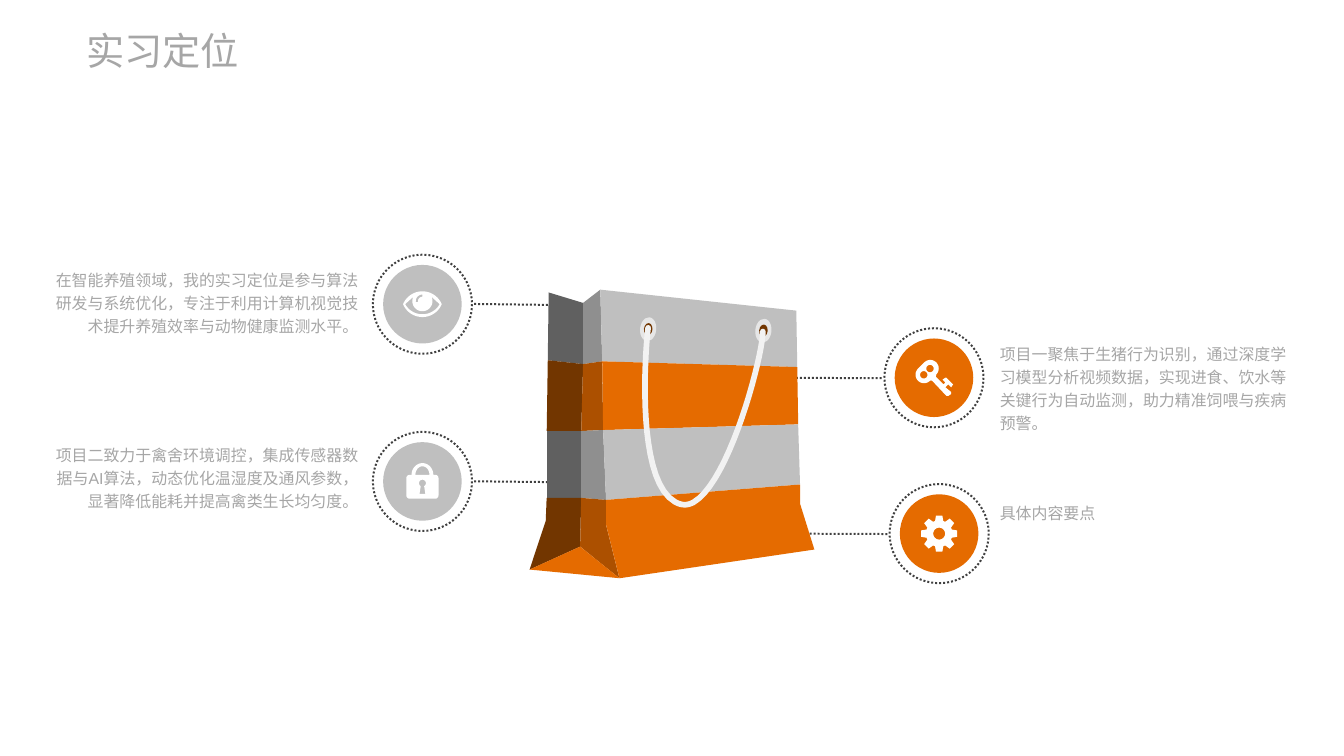
from math import cos, radians, sin

from pptx import Presentation
from pptx.dml.color import RGBColor
from pptx.enum import dml, shapes, text
from pptx.oxml.ns import qn
from pptx.util import Pt

GREY = RGBColor(0xBF, 0xBF, 0xBF)
MID_GREY = RGBColor(0x8F, 0x8F, 0x8F)
DARK_GREY = RGBColor(0x60, 0x60, 0x60)
ORANGE = RGBColor(0xE5, 0x6B, 0x00)
MID_ORANGE = RGBColor(0xAC, 0x50, 0x00)
BROWN = RGBColor(0x72, 0x36, 0x00)
WHITE = RGBColor(0xFF, 0xFF, 0xFF)
ROPE = RGBColor(0xF2, 0xF2, 0xF2)
EYELET = RGBColor(0xE6, 0xE6, 0xE6)
DOTS = RGBColor(0x40, 0x40, 0x40)
TEXT = RGBColor(0xA6, 0xA6, 0xA6)

deck = Presentation()
deck.slide_width, deck.slide_height = Pt(1012.3), Pt(569.5)
slide = deck.slides.add_slide(deck.slide_layouts[5])
items = slide.shapes


def arc(x, y, rx, ry, start, end):
    """Points along an elliptic arc, angles in degrees, clockwise from the right."""
    turns = [radians(start + (end - start) * i / 24) for i in range(25)]
    return [(x + rx * cos(t), y + ry * sin(t)) for t in turns]


def draw(color, rings, ox=0, oy=0, close=True):
    """Draw outlines as one freeform, shifted to (ox, oy)."""
    rings = [[(Pt(ox + x), Pt(oy + y)) for x, y in ring] for ring in rings]
    pen = items.build_freeform(*rings[0][0])
    for i, ring in enumerate(rings):
        if i:
            pen.move_to(*ring[0])
        pen.add_line_segments(ring[1:], close=close)
    form = pen.convert_to_shape()
    form.shadow.inherit = False
    form.fill.solid()
    form.fill.fore_color.rgb = color
    form.line.fill.background()
    return form


# Title
title = items.title
title.left, title.top, title.width, title.height = Pt(64.8), Pt(18.7), Pt(925.2), Pt(38.9)
frame = title.text_frame
frame.margin_left = frame.margin_right = frame.margin_top = frame.margin_bottom = 0
frame.vertical_anchor = text.MSO_ANCHOR.MIDDLE
frame.text = "实习定位"
line = frame.paragraphs[0]
line.alignment = text.PP_ALIGN.LEFT
line.font.size, line.font.name = Pt(28.8), "Arial"
line.font.color.rgb = TEXT

# Icon outlines around their own centre
eye = [
    arc(0, 6.1, 15.8, 15.8, -157.5, -22.5) + arc(0, -6.1, 15.8, 15.8, 22.5, 157.5),
    arc(0, -7.3, 14.9, 14.9, 29.3, 150.7) + arc(0, -2.3, 7.6, 7.6, 205, -25),
    arc(0, -2.3, 5, 5, 170, 270) + arc(0, -2.3, 3.3, 3.3, 270, 170),
]
lock = [
    arc(0, -5, 8.2, 8.8, 180, 360)
    + arc(9.6, -2.5, 2.5, 2.5, -90, 0)
    + arc(9.6, 10.5, 2.5, 2.5, 0, 90)
    + arc(-9.6, 10.5, 2.5, 2.5, 90, 180)
    + arc(-9.6, -2.5, 2.5, 2.5, 180, 270),
    arc(0, -5, 5.3, 6.4, 180, 360),
    arc(0, 1.3, 2.6, 2.6, 120, 420) + [(2.2, 9.4), (-2.2, 9.4)],
]
key = [
    [(1.4, -0.7), (7.2, 5), (8.6, 3.6), (6.5, 1.4), (8.6, 0), (9.4, 0),
     (14.4, 5), (13, 7.2), (10.8, 5), (8.6, 7.2), (13, 10.8), (13, 12.2),
     (10.8, 13.7), (9.4, 13.7), (-1.4, 2.2)]
    + arc(-7.5, -2.3, 6.4, 6.4, 45, 225) + arc(-2.8, -7, 6.4, 6.4, 225, 405),
    arc(-7.7, -2.2, 2.8, 2.8, 0, 360),
    arc(-3, -6.9, 2.8, 2.8, 0, 360),
]
tooth = [(-18, 10), (-10, 13.8), (10, 13.8), (18, 10)]
gear = [
    [(r * cos(radians(a + turn)), r * sin(radians(a + turn)))
     for turn in range(0, 360, 45) for a, r in tooth],
    arc(0, 0, 4.5, 4.5, 0, 360),
]

# Callouts: centre, colour, icon, line from and to, text top, words
calls = [
    (318.2, 229.2, GREY, eye, (357.1, 229), (414.7, 229.7), 200.9,
     "在智能养殖领域，我的实习定位是参与算法研发与系统优化，专注于利用计算机视觉技术提升养殖效率与动物健康监测水平。"),
    (318.2, 362.7, GREY, lock, (357.1, 362.6), (414.7, 363.2), 332.6,
     "项目二致力于禽舍环境调控，集成传感器数据与AI算法，动态优化温湿度及通风参数，显著降低能耗并提高禽类生长均匀度。"),
    (703.5, 284.6, ORANGE, key, (587.5, 284.6), (665.3, 284.9), 257,
     "项目一聚焦于生猪行为识别，通过深度学习模型分析视频数据，实现进食、饮水等关键行为自动监测，助力精准饲喂与疾病预警。"),
    (707.4, 402, ORANGE, gear, (591.8, 402), (668.9, 402.3), 376.6,
     "具体内容要点"),
]
for x, y, color, icon, head, tail, top, words in calls:
    link = items.add_connector(
        shapes.MSO_CONNECTOR.STRAIGHT, *[Pt(v) for v in head + tail])
    pr = link._element.spPr
    pr.append(pr.makeelement(qn("a:effectLst"), {}))
    disc, ring = [
        items.add_shape(shapes.MSO_SHAPE.OVAL, Pt(x - r), Pt(y - r), Pt(2 * r), Pt(2 * r))
        for r in (29.6, 37.3)]
    disc.shadow.inherit = ring.shadow.inherit = False
    disc.fill.solid()
    disc.fill.fore_color.rgb = color
    disc.line.fill.background()
    ring.fill.background()
    for edge in (link.line, ring.line):
        edge.color.rgb = DOTS
        edge.width = Pt(1.5)
        edge.dash_style = dml.MSO_LINE.ROUND_DOT
    draw(WHITE, icon, x, y)

    west = x < 500
    left, width, height = (33.8, 236.2, 113) if west else (753.1, 226.1, 104.4)
    frame = items.add_textbox(Pt(left), Pt(top), Pt(width), Pt(height)).text_frame
    frame.word_wrap = True
    frame.margin_left = frame.margin_right = frame.margin_top = frame.margin_bottom = 0
    frame.text = words
    line = frame.paragraphs[0]
    line.alignment = text.PP_ALIGN.RIGHT if west else text.PP_ALIGN.LEFT
    line.line_spacing = 1.2
    line.font.size, line.font.name = Pt(12), "Arial"
    line.font.color.rgb = TEXT

# Bag: upright edges from left to right, each cut by three seams
edges = [
    [(413.3, 220.3), (412.6, 271.4), (411.8, 324.7), (411.8, 375.1), (411.1, 392.4), (398.9, 429.1)],
    [(439.2, 228.2), (439.2, 274.3), (437.8, 324.7), (437.8, 375.1), (437, 411.8)],
    [(452.2, 218.2), (453.6, 272.2), (454.3, 324), (456.5, 376.6), (456.5, 395.3), (466.6, 435.6)],
    [(599.8, 234), (600.5, 276.5), (601.2, 319.7), (602.6, 365), (602.6, 379.4), (613.4, 414)],
]
tones = [(DARK_GREY, MID_GREY, GREY), (BROWN, MID_ORANGE, ORANGE)]
for band in range(4):
    cut = slice(band, band + 2 if band < 3 else None)
    for face in range(3):
        near, far = edges[face][cut], edges[face + 1][cut]
        draw(tones[band % 2][face], [near + far[::-1]])
draw(ORANGE, [[edge[-1] for edge in edges[:3]]])

# Eyelets
for x, y in [(488.2, 248), (575, 249.1)]:
    for w, h, color in [(12.2, 18, EYELET), (6.4, 9.2, BROWN)]:
        hole = items.add_shape(
            shapes.MSO_SHAPE.OVAL, Pt(x - w / 2), Pt(y - h / 2), Pt(w), Pt(h))
        hole.rotation = 6.1
        hole.shadow.inherit = False
        hole.fill.solid()
        hole.fill.fore_color.rgb = color
        hole.line.fill.background()

# Rope handle: three joined Bezier curves
knots = [(488.2, 247), (487.4, 249.8), (476.6, 360), (508.3, 378), (513.4, 380.9),
         (517.7, 380.9), (522.4, 378.4), (550.1, 362.2), (574.6, 267.1), (574.6, 249.8)]
trail = knots[:1]
for i in range(0, 9, 3):
    for t in [n / 20 for n in range(1, 21)]:
        parts = ((1 - t) ** 3, 3 * t * (1 - t) ** 2, 3 * t * t * (1 - t), t ** 3)
        trail.append(tuple(
            sum(p * k[axis] for p, k in zip(parts, knots[i:i + 4])) for axis in (0, 1)))
rope = draw(ROPE, [trail], close=False)
rope.fill.background()
rope.line.color.rgb = ROPE
rope.line.width = Pt(4.3)
rope.line._ln.set("cap", "rnd")

deck.save("out.pptx")
